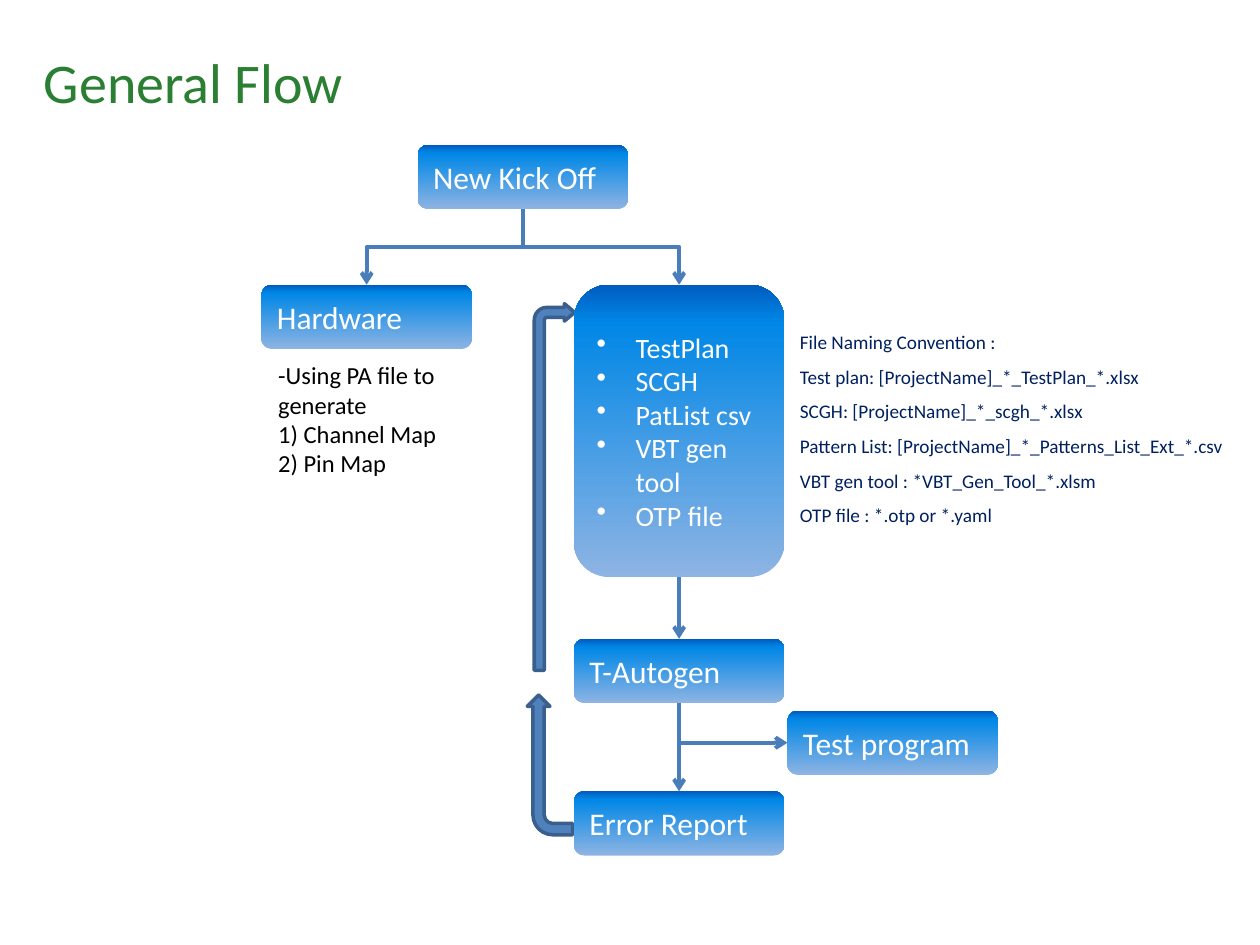
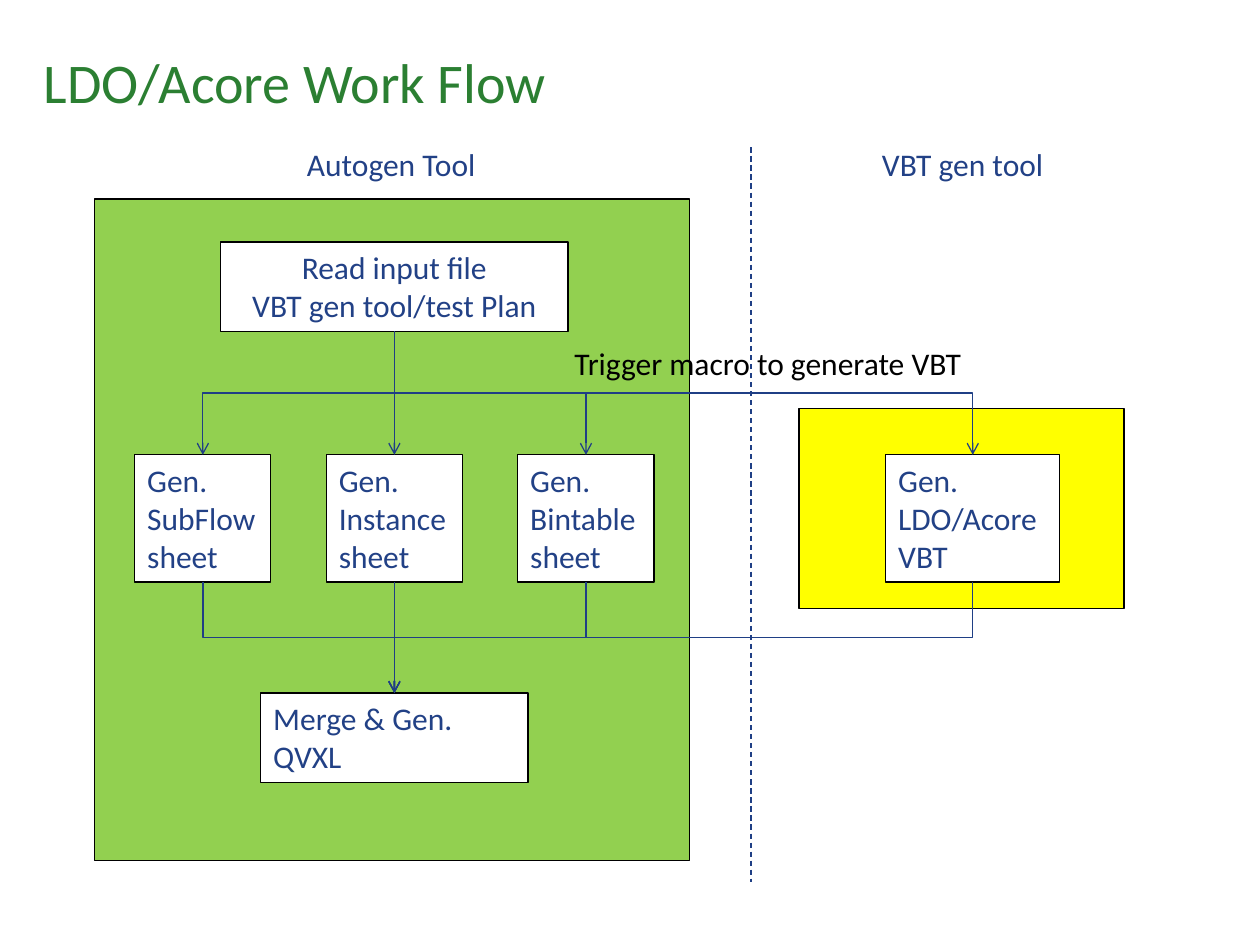
import copy
import pptx
import pptx.dml.color
import pptx.enum.dml
import pptx.enum.shapes
import pptx.enum.text
import pptx.oxml
import pptx.oxml.ns
import pptx.util

Inches = pptx.util.Inches
Pt = pptx.util.Pt
qn = pptx.oxml.ns.qn
rgb = pptx.dml.color.RGBColor.from_string
SHAPE = pptx.enum.shapes.MSO_SHAPE
CONNECTOR = pptx.enum.shapes.MSO_CONNECTOR
ALIGN = pptx.enum.text.PP_ALIGN
ANCHOR = pptx.enum.text.MSO_ANCHOR

# Shared look
FONT = "Calibri"
GREEN, NAVY, BLACK, WHITE = "2B7F32", "224186", "000000", "FFFFFF"
FLOW_LINE, THIN_LINE = ("4A7EBB", 2.25), ("1F3F85", 0.75)
GRADIENT = [(0, "8EB4E3"), (0.87, "0087E6"), (1, "005CBF")]


def write(sp, lines, size, color, align=ALIGN.LEFT, anchor=ANCHOR.TOP,
          wrap=True, spacing=None, bullet=False):
    tf = sp.text_frame
    tf.word_wrap = wrap
    tf.vertical_anchor = anchor
    for i, line in enumerate(lines):
        p = tf.paragraphs[0] if i == 0 else tf.add_paragraph()
        p.alignment = align
        if spacing:
            p.line_spacing = spacing
        if bullet:
            pPr = p._p.get_or_add_pPr()
            pPr.set("marL", str(Inches(0.31)))
            pPr.set("indent", str(-Inches(0.31)))
            bu = pptx.oxml.parse_xml(
                '<a:buChar xmlns:a="http://schemas.openxmlformats.org/'
                'drawingml/2006/main" char="\u2022"/>')
            pPr.append(bu)
        r = p.add_run()
        r.text = line
        r.font.name = FONT
        r.font.size = Pt(size)
        r.font.color.rgb = rgb(color)


def connect(s, x1, y1, x2, y2, style, arrow=True, bend="bentConnector3"):
    """Straight line, or an elbow that leaves downwards when x changes."""
    dx, dy = x2 - x1, y2 - y1
    if dx == 0:
        c = s.shapes.add_connector(CONNECTOR.STRAIGHT, Inches(x1), Inches(y1),
                                   Inches(x2), Inches(y2))
    else:
        # An elbow leaves sideways, so its frame is turned a quarter
        cx, cy = (x1 + x2) / 2, (y1 + y2) / 2
        c = s.shapes.add_connector(
            CONNECTOR.ELBOW, Inches(cx - dy / 2), Inches(cy - abs(dx) / 2),
            Inches(cx + dy / 2), Inches(cy + abs(dx) / 2))
        xfrm = c._element.spPr.find(qn("a:xfrm"))
        xfrm.set("rot", "16200000" if dx > 0 else "5400000")
        if dx > 0:
            xfrm.set("flipH", "1")
        c._element.spPr.find(qn("a:prstGeom")).set("prst", bend)
    color, width = style
    c.line.color.rgb = rgb(color)
    c.line.width = Pt(width)
    if arrow:
        ln = c.line._get_or_add_ln()
        ln.append(ln.makeelement(qn("a:tailEnd"), {"type": "arrow"}))
    spPr = c._element.spPr
    spPr.append(spPr.makeelement(qn("a:effectLst"), {}))
    return c


prs = pptx.Presentation()
prs.slide_width, prs.slide_height = Inches(10), Inches(7.5)

# Slides and titles
slides = []
for title in ["General Flow", "LDO/Acore Work Flow"]:
    s = prs.slides.add_slide(prs.slide_layouts[6])
    sp = s.shapes.add_textbox(Inches(0.25), Inches(0.33), Inches(9.5), Inches(0.82))
    write(sp, [title], 32, GREEN)
    slides.append(s)

# ---- Slide 1: general flow ----
s = slides[0]
BOX_W, BOX_H = 1.67, 0.51
left_x, mid_x, right_x = 2.91, 4.15, 5.39
kick_y, split_y, inputs_h = 1.15, 2.26, 2.32
autogen_y, program_y, report_y = 5.07, 5.64, 6.28

# Block arrows that lead back from the error report to the inputs
for x, y, w, h, turn, adj in [
        (4.24, 2.41, 0.32, 2.91, 0, (0.25, 0.217, 0.25, 0.313)),
        (3.81, 5.89, 1.11, 0.36, 270, (0.25, 0.25, 0.25, 0.4375))]:
    sp = s.shapes.add_shape(SHAPE.BENT_ARROW, Inches(x), Inches(y), Inches(w), Inches(h))
    sp.shadow.inherit = False
    sp.rotation = turn
    for i, value in enumerate(adj):
        sp.adjustments[i] = value
    sp.fill.solid()
    sp.fill.fore_color.rgb = rgb("4F81BD")
    sp.line.color.rgb = rgb("3A5F8C")
    sp.line.width = Pt(2)

# Gradient steps
inputs = ["TestPlan", "SCGH", "PatList csv", "VBT gen tool", "OTP file"]
for cx, y, h, lines in [
        (mid_x, kick_y, BOX_H, ["New Kick Off"]),
        (left_x, split_y, BOX_H, ["Hardware"]),
        (right_x, split_y, inputs_h, inputs),
        (right_x, autogen_y, BOX_H, ["T-Autogen"]),
        (right_x, report_y, BOX_H, ["Error Report"]),
        (6.25 + BOX_W / 2, program_y, BOX_H, ["Test program"])]:
    sp = s.shapes.add_shape(SHAPE.ROUNDED_RECTANGLE, Inches(cx - BOX_W / 2), Inches(y),
                            Inches(BOX_W), Inches(h))
    sp.shadow.inherit = False
    sp.line.fill.background()
    sp.fill.gradient()
    sp.fill.gradient_angle = 90
    gsLst = sp._element.spPr.find(qn("a:gradFill")).find(qn("a:gsLst"))
    gsLst.append(copy.deepcopy(gsLst[0]))
    for stop, (position, color) in zip(sp.fill.gradient_stops, GRADIENT):
        stop.position = position
        stop.color.rgb = rgb(color)
    many = len(lines) > 1
    write(sp, lines, 16 if many else 18, WHITE, anchor=ANCHOR.MIDDLE, bullet=many)

# Links between steps
for x in (left_x, right_x):
    connect(s, mid_x, kick_y + BOX_H, x, split_y, FLOW_LINE)
connect(s, right_x, split_y + inputs_h, right_x, autogen_y, FLOW_LINE)
connect(s, right_x, autogen_y + BOX_H, right_x, report_y, FLOW_LINE)
connect(s, right_x, autogen_y + BOX_H, 6.25, program_y + BOX_H / 2, FLOW_LINE,
        bend="bentConnector2")

# Notes beside the steps
sp = s.shapes.add_textbox(Inches(2.11), Inches(2.81), Inches(1.6), Inches(1.28))
write(sp, ["-Using PA file to generate", "1) Channel Map", "2) Pin Map"], 14, BLACK)
sp = s.shapes.add_textbox(Inches(6.25), Inches(2.48), Inches(3.6), Inches(1.77))
write(sp, ["File Naming Convention :",
           "Test plan: [ProjectName]_*_TestPlan_*.xlsx",
           "SCGH: [ProjectName]_*_scgh_*.xlsx",
           "Pattern List: [ProjectName]_*_Patterns_List_Ext_*.csv",
           "VBT gen tool : *VBT_Gen_Tool_*.xlsm",
           "OTP file : *.otp or *.yaml"], 11, "002060", wrap=False, spacing=1.5)

# ---- Slide 2: work flow ----
s = slides[1]
centre = 3.13
read_y, read_h = 1.92, 0.71
gen_y, gen_h = 3.61, 1.01
merge_y = 5.5
gen_centres = [1.61, centre, 4.65, 7.72]

# Panels, then the white steps on top of them
C, L = ALIGN.CENTER, ALIGN.LEFT
for cx, y, w, h, color, lines, align in [
        (3.11, 1.58, 4.72, 5.25, "92D050", [], L),
        (7.63, 3.24, 2.58, 1.59, "FFFF00", [], L),
        (centre, read_y, 2.76, read_h, WHITE, ["Read input file", "VBT gen tool/test Plan"], C),
        (gen_centres[0], gen_y, 1.08, gen_h, WHITE, ["Gen. SubFlow sheet"], L),
        (gen_centres[1], gen_y, 1.08, gen_h, WHITE, ["Gen. Instance sheet"], L),
        (gen_centres[2], gen_y, 1.08, gen_h, WHITE, ["Gen. Bintable", "sheet"], L),
        (gen_centres[3], gen_y, 1.38, gen_h, WHITE, ["Gen. LDO/Acore VBT"], L),
        (centre, merge_y, 2.12, 0.71, WHITE, ["Merge & Gen. QVXL"], L)]:
    sp = s.shapes.add_shape(SHAPE.RECTANGLE, Inches(cx - w / 2), Inches(y),
                            Inches(w), Inches(h))
    sp.shadow.inherit = False
    sp.fill.solid()
    sp.fill.fore_color.rgb = rgb(color)
    sp.line.color.rgb = rgb(BLACK)
    sp.line.width = Pt(0.75)
    write(sp, lines, 18, NAVY, align)

# Fan out to the generators and back in to the merge
for x in gen_centres:
    connect(s, centre, read_y + read_h, x, gen_y, THIN_LINE)
    connect(s, x, gen_y + gen_h, centre, merge_y, THIN_LINE)

# Divider between the two tools
c = connect(s, 5.96, 1.17, 5.96, 7, THIN_LINE, arrow=False)
c.line.dash_style = pptx.enum.dml.MSO_LINE.DASH

# Headings and trigger label
for x, y, w, text, color, wrap in [
        (2.3, 1.1, 1.61, "Autogen Tool", NAVY, False),
        (6.89, 1.1, 1.5, "VBT gen tool", NAVY, False),
        (4.43, 2.68, 3.33, "Trigger macro to generate VBT", BLACK, True)]:
    sp = s.shapes.add_textbox(Inches(x), Inches(y), Inches(w), Inches(0.4))
    write(sp, [text], 18, color, C, wrap=wrap)

prs.save("out.pptx")
